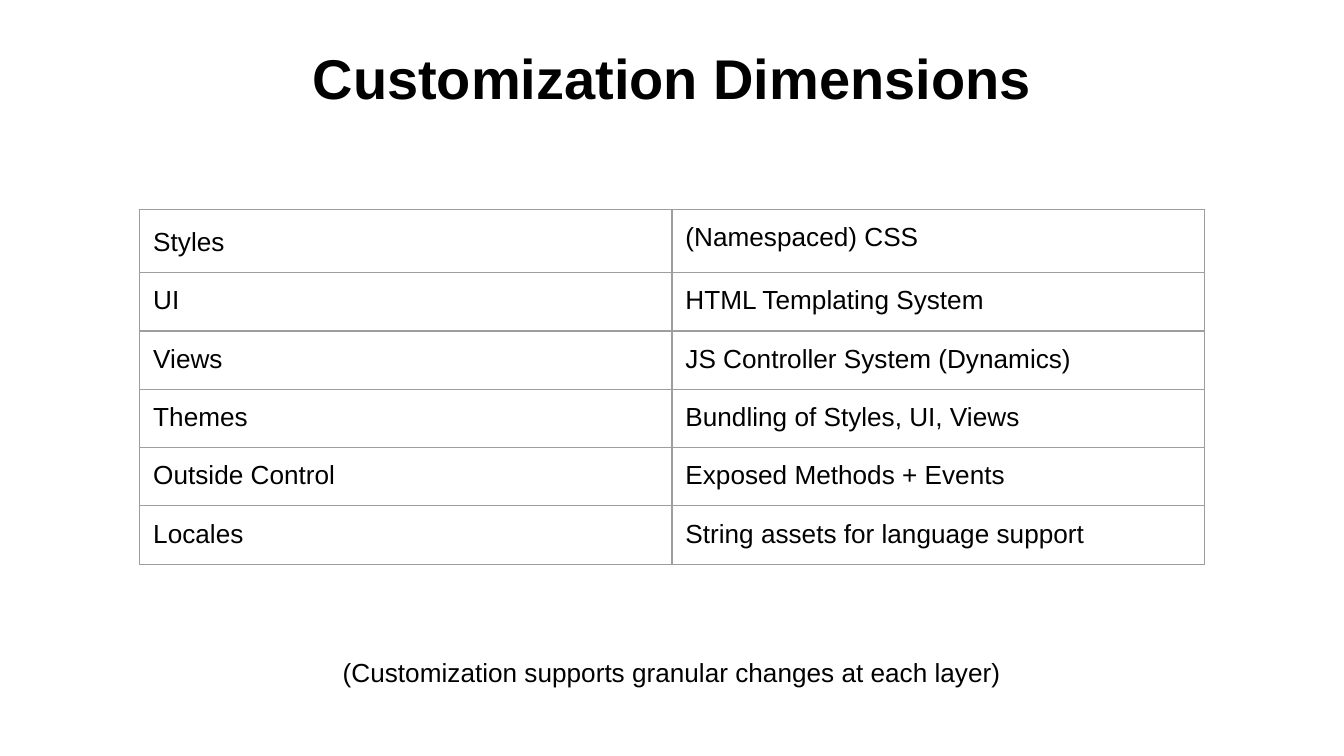
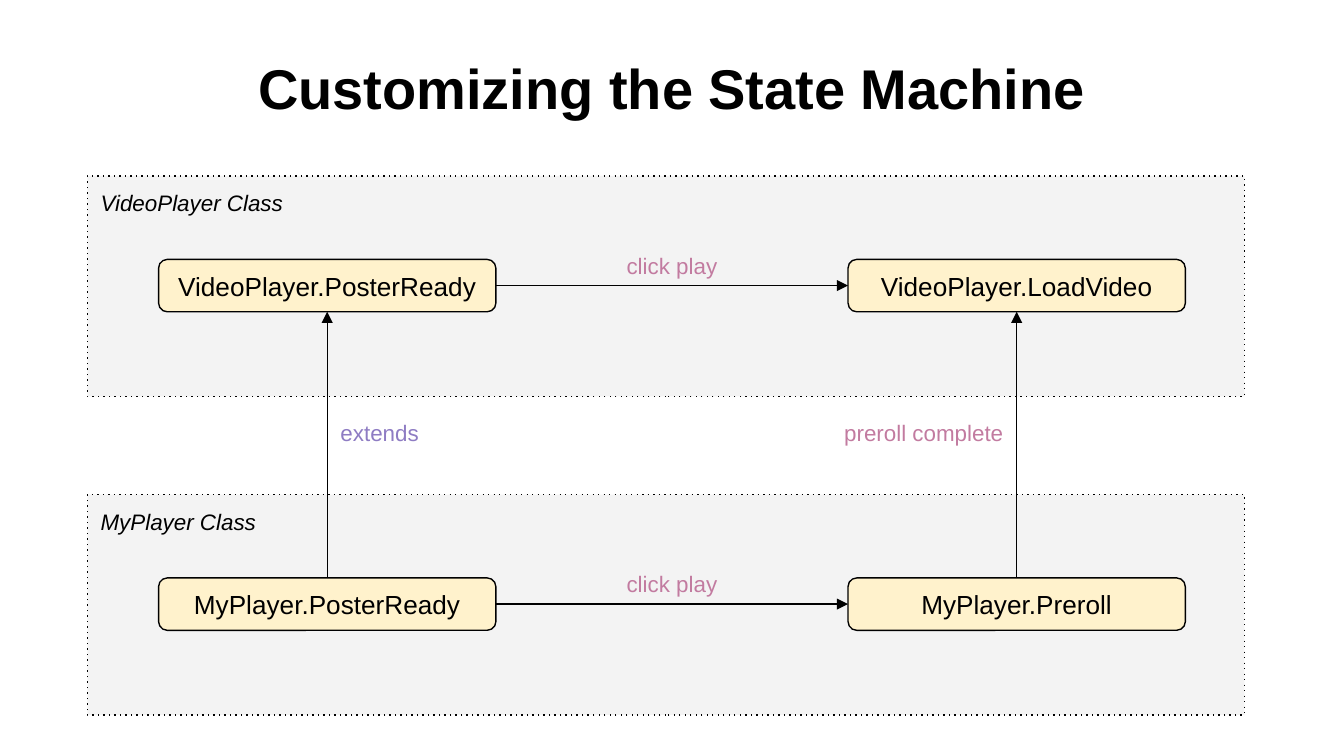
"""Build two slides on player customization: a table of dimensions and a state diagram."""
from lxml import etree
from pptx import Presentation
from pptx.dml.color import RGBColor
from pptx.enum.shapes import MSO_CONNECTOR, MSO_SHAPE
from pptx.enum.text import MSO_ANCHOR, PP_ALIGN
from pptx.oxml.ns import qn
from pptx.util import Inches, Pt

LEFT, CENTER, RIGHT = PP_ALIGN.LEFT, PP_ALIGN.CENTER, PP_ALIGN.RIGHT
TOP, MIDDLE = MSO_ANCHOR.TOP, MSO_ANCHOR.MIDDLE
RECT, ROUNDED = MSO_SHAPE.RECTANGLE, MSO_SHAPE.ROUNDED_RECTANGLE
STRAIGHT = MSO_CONNECTOR.STRAIGHT
SITE_TOP, SITE_LEFT, SITE_BOTTOM, SITE_RIGHT = range(4)

FONT = "Arial"
BLACK, WHITE, GRID = "000000", "FFFFFF", "9E9E9E"
BAND, STATE, EVENT, INHERIT = "F3F3F3", "FFF2CC", "C27BA0", "8E7CC3"
WIDTH, HEIGHT = 10, 10 * 9 / 16
INSET, LINE_WIDTH = 0.1, 0.75

DIMENSIONS = [
    ("Styles", "(Namespaced) CSS"),
    ("UI", "HTML Templating System"),
    ("Views", "JS Controller System (Dynamics)"),
    ("Themes", "Bundling of Styles, UI, Views"),
    ("Outside Control", "Exposed Methods + Events"),
    ("Locales", "String assets for language support"),
]
FOOTNOTE = "(Customization supports granular changes at each layer)"
CLASSES = [
    ("VideoPlayer Class", ("VideoPlayer.PosterReady", "VideoPlayer.LoadVideo"), "click play"),
    ("MyPlayer Class", ("MyPlayer.PosterReady", "MyPlayer.Preroll"), "click play"),
]
LINKS_UP = [("extends", INHERIT, LEFT, 1.62), ("preroll complete", EVENT, RIGHT, 2.17)]

TABLE_LEFT, TABLE_TOP, COLUMN_WIDTH, ROW_HEIGHT = 1.04, 1.56, 3.96, 0.42
BAND_LEFT, BAND_TOP, BAND_WIDTH, BAND_HEIGHT, BAND_PITCH = 0.65, 1.31, 8.61, 1.64, 2.37
STATE_LEFT, STATE_DROP, STATE_WIDTH, STATE_HEIGHT, STATE_PITCH = 1.18, 0.62, 2.51, 0.39, 5.13
EVENT_WIDTH, EVENT_HEIGHT = 1.62, 0.35


def color(hex_text):
    return RGBColor.from_string(hex_text)


def write(frame, text, size=14, ink=BLACK, bold=False, italic=False,
          align=LEFT, anchor=TOP, spacing=None):
    frame.word_wrap = True
    frame.vertical_anchor = anchor
    frame.margin_left = frame.margin_right = Inches(INSET)
    frame.margin_top = frame.margin_bottom = Inches(INSET)
    paragraph = frame.paragraphs[0]
    paragraph.alignment = align
    paragraph.line_spacing = spacing
    run = paragraph.add_run()
    run.text = text
    run.font.name, run.font.size = FONT, Pt(size)
    run.font.bold, run.font.italic = bold, italic
    run.font.color.rgb = color(ink)


def add_text(slide, box, text, **style):
    write(slide.shapes.add_textbox(*map(Inches, box)).text_frame, text, **style)


def add_title(slide, text, height):
    add_text(slide, (0, 0, WIDTH, height), text, size=30, bold=True, align=CENTER, anchor=MIDDLE)


def outline(item):
    item.line.color.rgb = color(BLACK)
    item.line.width = Pt(LINE_WIDTH)
    return item._element.spPr.find(qn("a:ln"))


def add_box(slide, preset, box, fill):
    shape = slide.shapes.add_shape(preset, *map(Inches, box))
    shape.shadow.inherit = False
    shape.fill.solid()
    shape.fill.fore_color.rgb = color(fill)
    return shape, outline(shape)


def add_arrow(slide, start, start_site, end, end_site):
    arrow = slide.shapes.add_connector(STRAIGHT, 0, 0, 0, 0)
    arrow.begin_connect(start, start_site)
    arrow.end_connect(end, end_site)
    etree.SubElement(outline(arrow), qn("a:tailEnd"), type="triangle", w="med", len="med")
    etree.SubElement(arrow._element.spPr, qn("a:effectLst"))


def add_borders(cell):
    properties = cell._tc.get_or_add_tcPr()
    for side in ("lnL", "lnR", "lnT", "lnB"):
        border = etree.SubElement(properties, qn(f"a:{side}"), w=str(Pt(LINE_WIDTH)))
        paint = etree.SubElement(border, qn("a:solidFill"))
        etree.SubElement(paint, qn("a:srgbClr"), val=GRID)


def build_dimensions(slide):
    add_title(slide, "Customization Dimensions", 1.15)
    rows, columns = len(DIMENSIONS), len(DIMENSIONS[0])
    box = (TABLE_LEFT, TABLE_TOP, columns * COLUMN_WIDTH, rows * ROW_HEIGHT)
    table = slide.shapes.add_table(rows, columns, *map(Inches, box)).table
    table.first_row = table.horz_banding = False
    for r, entries in enumerate(DIMENSIONS):
        table.rows[r].height = Inches(ROW_HEIGHT)
        for c, entry in enumerate(entries):
            cell = table.cell(r, c)
            cell.margin_left = cell.margin_right = Inches(INSET)
            cell.margin_top = cell.margin_bottom = Inches(INSET)
            write(cell.text_frame, entry, spacing=1.15 if r == c == 0 else None)
            cell.vertical_anchor = TOP
            add_borders(cell)
            cell.fill.solid()
            cell.fill.fore_color.rgb = color(WHITE)
    add_text(slide, (0, 0.85 * HEIGHT, WIDTH, 0.63), FOOTNOTE, align=CENTER)


def build_state_machine(slide):
    add_title(slide, "Customizing the State Machine", 1.3)
    tops = [BAND_TOP + i * BAND_PITCH for i in range(len(CLASSES))]
    for top in tops:
        _, border = add_box(slide, RECT, (BAND_LEFT, top, BAND_WIDTH, BAND_HEIGHT), BAND)
        etree.SubElement(border, qn("a:prstDash"), val="dot")

    grid = []
    for top, (class_name, names, event) in zip(tops, CLASSES):
        state_top = top + STATE_DROP
        states = []
        for c, name in enumerate(names):
            left = STATE_LEFT + c * STATE_PITCH
            state, _ = add_box(slide, ROUNDED, (left, state_top, STATE_WIDTH, STATE_HEIGHT), STATE)
            write(state.text_frame, name, align=CENTER, anchor=MIDDLE)
            states.append(state)
        grid.append(states)
        add_arrow(slide, states[0], SITE_RIGHT, states[1], SITE_LEFT)
        event_left = STATE_LEFT + (STATE_PITCH + STATE_WIDTH - EVENT_WIDTH) / 2
        event_top = state_top + STATE_HEIGHT / 2 - EVENT_HEIGHT
        add_text(slide, (event_left, event_top, EVENT_WIDTH, EVENT_HEIGHT), event,
                 size=12, ink=EVENT, align=CENTER)
        add_text(slide, (BAND_LEFT, top, 6.98, 0.81), class_name, size=12, italic=True)

    label_top = (tops[0] + BAND_HEIGHT + tops[1]) / 2 - 0.3
    for c, (label, ink, align, width) in enumerate(LINKS_UP):
        add_arrow(slide, grid[1][c], SITE_TOP, grid[0][c], SITE_BOTTOM)
        axis = STATE_LEFT + c * STATE_PITCH + STATE_WIDTH / 2
        left = axis - width if align == RIGHT else axis
        add_text(slide, (left, label_top, width, 0.39), label, size=12, ink=ink, align=align)


deck = Presentation()
deck.slide_width, deck.slide_height = Inches(WIDTH), Inches(HEIGHT)
for build in (build_dimensions, build_state_machine):
    build(deck.slides.add_slide(deck.slide_layouts[6]))
deck.save("out.pptx")
